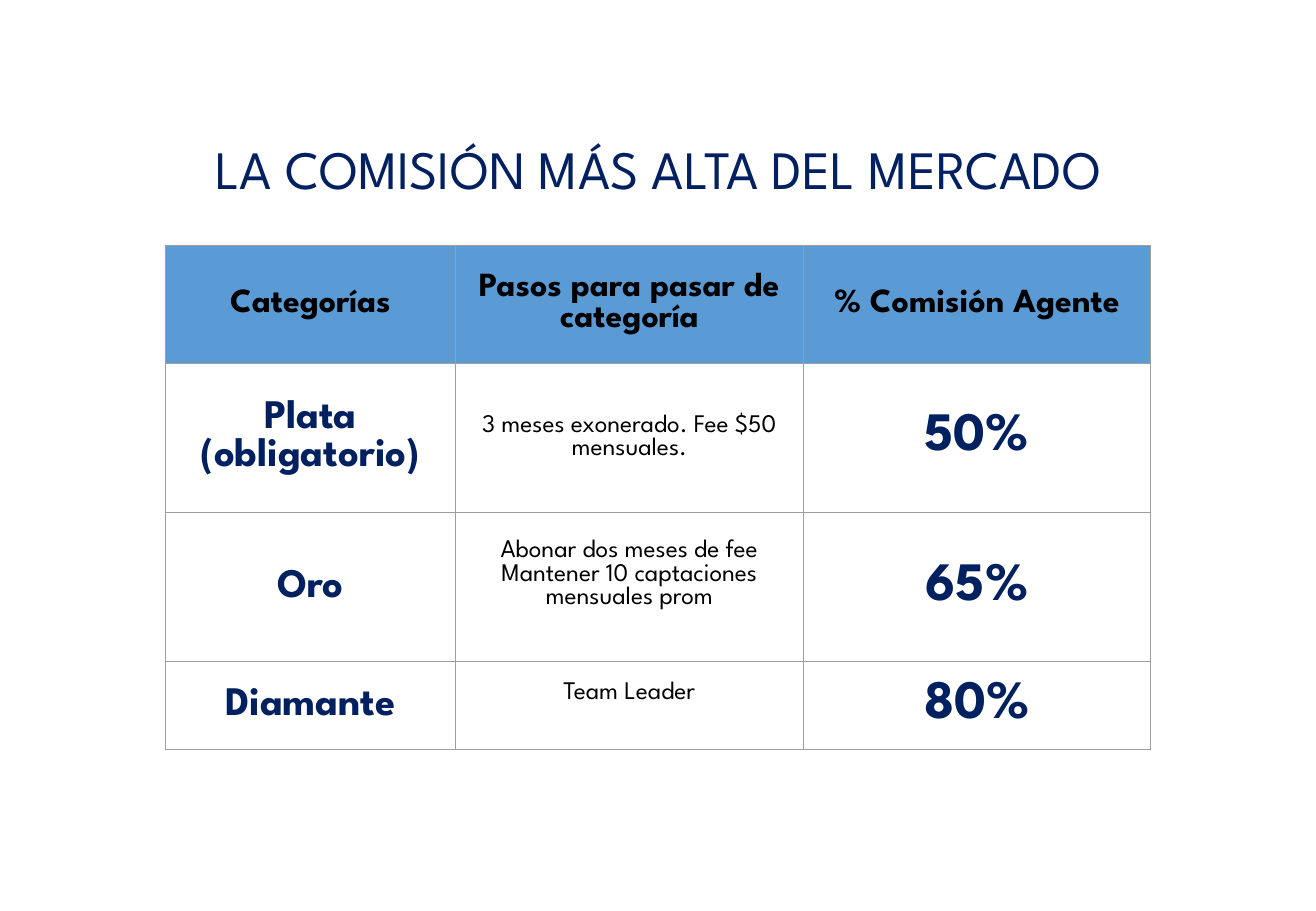
from dataclasses import dataclass

from lxml.etree import SubElement
from pptx import Presentation
from pptx.dml.color import RGBColor
from pptx.enum.text import MSO_ANCHOR, PP_ALIGN
from pptx.oxml.ns import qn
from pptx.table import _Cell
from pptx.text.text import TextFrame
from pptx.util import Inches, Pt

FONT = "League Spartan"
NAVY, BLACK, BLUE, GRAY = "002060", "000000", "5B9BD5", "9E9E9E"
INSET = 0.11
COLUMN_WIDTHS = (2.39, 2.86, 2.86)
ROW_HEIGHTS = (0.97, 1.23, 1.23, 0.72)


@dataclass(frozen=True)
class TextStyle:
    size: int
    color: str
    bold: bool


TITLE = TextStyle(32, NAVY, False)
HEADER = TextStyle(20, BLACK, True)
CATEGORY = TextStyle(24, NAVY, True)
STEPS = TextStyle(15, BLACK, False)
PERCENT = TextStyle(32, NAVY, True)


@dataclass(frozen=True)
class CommissionRow:
    category: str
    steps: tuple[str, ...]
    percent: str
    steps_bottom: float = INSET


ROWS = (
    CommissionRow("Plata (obligatorio)", ("3 meses exonerado. Fee $50 mensuales.",), "50%"),
    CommissionRow(
        "Oro",
        ("Abonar dos meses de fee", "Mantener 10 captaciones mensuales prom"),
        "65%",
        0.31,
    ),
    CommissionRow("Diamante", ("Team Leader",), "80%", 0.31),
)
HEADINGS = ("Categorías", "Pasos para pasar de categoría", "% Comisión Agente")


def rgb(color: str) -> RGBColor:
    return RGBColor.from_string(color)


def write(frame: TextFrame, lines: tuple[str, ...], style: TextStyle) -> None:
    frame.word_wrap = True
    for index, line in enumerate(lines):
        para = frame.add_paragraph() if index else frame.paragraphs[0]
        para.alignment = PP_ALIGN.CENTER
        span = para.add_run()
        span.text = line
        span.font.name = FONT
        span.font.size = Pt(style.size)
        span.font.bold = style.bold
        span.font.color.rgb = rgb(style.color)


def set_borders(cell: _Cell) -> None:
    properties = cell._tc.get_or_add_tcPr()
    for side in ("a:lnL", "a:lnR", "a:lnT", "a:lnB"):
        line = SubElement(properties, qn(side), w=str(Pt(0.75)))
        fill = SubElement(line, qn("a:solidFill"))
        SubElement(fill, qn("a:srgbClr"), val=GRAY)


def fill_cell(
    cell: _Cell,
    lines: tuple[str, ...],
    style: TextStyle,
    background: str | None = None,
    bottom: float = INSET,
) -> None:
    cell.margin_left = cell.margin_right = cell.margin_top = Inches(INSET)
    cell.margin_bottom = Inches(bottom)
    cell.vertical_anchor = MSO_ANCHOR.MIDDLE
    set_borders(cell)
    if background:
        cell.fill.solid()
        cell.fill.fore_color.rgb = rgb(background)
    else:
        cell.fill.background()
    write(cell.text_frame, lines, style)


def main() -> None:
    deck = Presentation()
    deck.slide_width, deck.slide_height = Inches(10.83), Inches(7.5)
    page = deck.slides.add_slide(deck.slide_layouts[6])

    table = page.shapes.add_table(
        len(ROW_HEIGHTS), len(COLUMN_WIDTHS), Inches(1.36), Inches(2.02),
        Inches(sum(COLUMN_WIDTHS)), Inches(sum(ROW_HEIGHTS)),
    ).table
    for column, width in zip(table.columns, COLUMN_WIDTHS):
        column.width = Inches(width)
    for row, height in zip(table.rows, ROW_HEIGHTS):
        row.height = Inches(height)

    for index, heading in enumerate(HEADINGS):
        fill_cell(table.cell(0, index), (heading,), HEADER, BLUE)
    for index, row in enumerate(ROWS, start=1):
        fill_cell(table.cell(index, 0), (row.category,), CATEGORY)
        fill_cell(table.cell(index, 1), row.steps, STEPS, bottom=row.steps_bottom)
        fill_cell(table.cell(index, 2), (row.percent,), PERCENT)

    box = page.shapes.add_textbox(Inches(0.34), Inches(0.97), Inches(10.16), Inches(0.79))
    frame = box.text_frame
    frame.margin_left = frame.margin_right = Inches(INSET)
    frame.margin_top = frame.margin_bottom = Inches(INSET)
    frame.vertical_anchor = MSO_ANCHOR.BOTTOM
    write(frame, ("LA COMISIÓN MÁS ALTA DEL MERCADO",), TITLE)

    deck.save("out.pptx")


if __name__ == "__main__":
    main()
